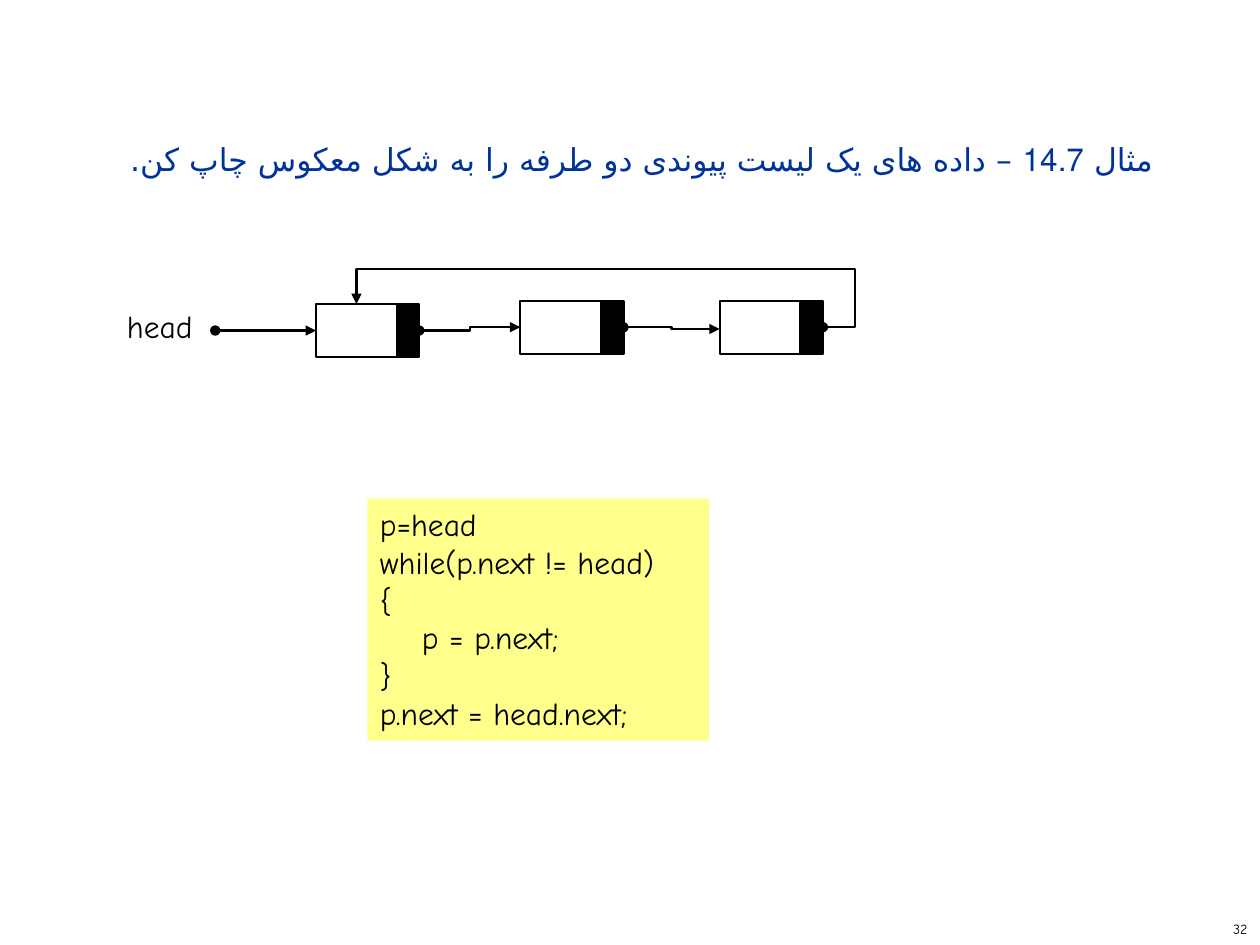
from dataclasses import dataclass

from lxml import etree
from pptx import Presentation
from pptx.dml.color import RGBColor
from pptx.enum import shapes as kinds, text as styles
from pptx.oxml import ns
from pptx.util import Pt

FONT = "Comic Neue"
BLACK = "000000"
DATA_WIDTH, POINTER_WIDTH, NODE_HEIGHT = 46.2, 12.8, 30.2
HEADING = (
    ("مثال ", "DejaVu Sans"),
    ("14.7", "Helvetica"),
    (" – داده های یک لیست پیوندی دو طرفه را به شکل معکوس چاپ کن.", "DejaVu Sans"),
)
CODE = [
    "p=head",
    "while(p.next != head)",
    "{",
    "    p = p.next;",
    "}",
    "p.next = head.next;",
]


@dataclass(frozen=True)
class Node:
    left: float
    top: float

    @property
    def middle(self) -> float:
        return self.top + NODE_HEIGHT / 2

    @property
    def right(self) -> float:
        return self.left + DATA_WIDTH + POINTER_WIDTH


@dataclass(frozen=True)
class Link:
    start: tuple[float, float]
    end: tuple[float, float]
    preset: str
    adjustments: tuple[int, ...] = ()


@dataclass(frozen=True)
class Label:
    box: tuple[float, float, float, float]
    lines: list[str]
    size: float
    format: dict
    alignment: styles.PP_ALIGN = styles.PP_ALIGN.LEFT


def color(value: str) -> RGBColor:
    return RGBColor.from_string(value)


def points(values) -> list:
    return [Pt(value) for value in values]


def set_all(target, values: dict) -> None:
    for name, value in values.items():
        setattr(target, name, value)


def style_font(paragraph, size: float, ink: str) -> None:
    for run in paragraph.runs:
        set_all(run.font, {"name": FONT, "size": Pt(size)})
        run.font.color.rgb = color(ink)


def write_label(shape, label: Label) -> None:
    frame = shape.text_frame
    set_all(frame, {"word_wrap": False, **label.format})
    for index, line in enumerate(label.lines):
        paragraph = frame.add_paragraph() if index else frame.paragraphs[0]
        set_all(paragraph, {"text": line, "alignment": label.alignment})
        style_font(paragraph, label.size, BLACK)


def add_cell(parent, box: tuple, fill: str):
    cell = parent.add_shape(kinds.MSO_SHAPE.RECTANGLE, *points(box))
    cell.shadow.inherit = False
    cell.fill.solid()
    cell.fill.fore_color.rgb = color(fill)
    return cell


def draw_node(slide, node: Node) -> None:
    group = slide.shapes.add_group_shape()
    pointer_left = node.left + DATA_WIDTH
    for left, width, fill in (
        (node.left, DATA_WIDTH, "FFFFFF"),
        (pointer_left, POINTER_WIDTH, BLACK),
    ):
        cell = add_cell(group.shapes, (left, node.top, width, NODE_HEIGHT), fill)
        cell.line.color.rgb = color("010000")
        cell.line.width = Pt(1.25)


def draw_link(slide, link: Link) -> None:
    connector = slide.shapes.add_connector(
        kinds.MSO_CONNECTOR.STRAIGHT, *points(link.start + link.end)
    )
    connector.line.color.rgb = color(BLACK)
    connector.line.width = Pt(1.25)
    properties = connector._element.spPr
    outline = properties.find(ns.qn("a:ln"))
    for end, kind in (("headEnd", "oval"), ("tailEnd", "triangle")):
        etree.SubElement(outline, ns.qn(f"a:{end}"), type=kind)
    etree.SubElement(properties, ns.qn("a:effectLst"))
    geometry = properties.find(ns.qn("a:prstGeom"))
    geometry.set("prst", link.preset)
    guides = geometry.find(ns.qn("a:avLst"))
    for number, value in enumerate(link.adjustments, 1):
        etree.SubElement(
            guides, ns.qn("a:gd"), name=f"adj{number}", fmla=f"val {value}"
        )


def draw_title(slide) -> None:
    title = slide.shapes.title
    set_all(title, dict(zip(("left", "top", "width", "height"),
                            points((48, 72, 618, 426)))))
    set_all(title.text_frame, {
        "vertical_anchor": styles.MSO_ANCHOR.TOP,
        "auto_size": styles.MSO_AUTO_SIZE.NONE,
        "word_wrap": True,
    })
    heading = title.text_frame.paragraphs[0]
    set_all(heading, {"alignment": styles.PP_ALIGN.RIGHT, "line_spacing": Pt(26)})
    heading._p.get_or_add_pPr().set("rtl", "1")
    for words, _ in HEADING:
        heading.add_run().text = words
    style_font(heading, 18, "003399")
    for run, (_, script_font) in zip(heading.runs, HEADING):
        etree.SubElement(run.font._element, ns.qn("a:cs"), typeface=script_font)


def main() -> None:
    deck = Presentation()
    set_all(deck, {"slide_width": Pt(720), "slide_height": Pt(540)})
    slide = deck.slides.add_slide(deck.slide_layouts[5])
    draw_title(slide)

    first, second, third = nodes = [
        Node(180.6, 173.8), Node(297.3, 171.9), Node(411.3, 171.9)
    ]
    for node in nodes:
        draw_node(slide, node)
    links = [
        Link((123, first.middle), (first.left, first.middle), "straightConnector1"),
        Link((first.right, first.middle), (second.left, second.middle),
             "bentConnector3", (50000,)),
        Link((second.right, second.middle), (third.left, third.middle + 1),
             "bentConnector3", (50000,)),
        Link((third.right, third.middle),
             (first.left + DATA_WIDTH / 2, first.top),
             "bentConnector4", (-6800, 252200)),
    ]
    for link in links:
        draw_link(slide, link)

    fit = {"auto_size": styles.MSO_AUTO_SIZE.SHAPE_TO_FIT_TEXT}
    head = Label((65.5, 172.1, 54.7, 28.8), ["head"], 18, fit)
    page = Label((570, 522, 150, 18), ["32"], 8,
                 {"vertical_anchor": styles.MSO_ANCHOR.MIDDLE},
                 styles.PP_ALIGN.RIGHT)
    for label in (head, page):
        write_label(slide.shapes.add_textbox(*points(label.box)), label)

    code = Label((210, 285, 195.1, 138.2), CODE, 18,
                 {**fit, "vertical_anchor": styles.MSO_ANCHOR.TOP})
    panel = add_cell(slide.shapes, code.box, "FFFF8B")
    panel.line.fill.background()
    write_label(panel, code)

    deck.save("out.pptx")


if __name__ == "__main__":
    main()
